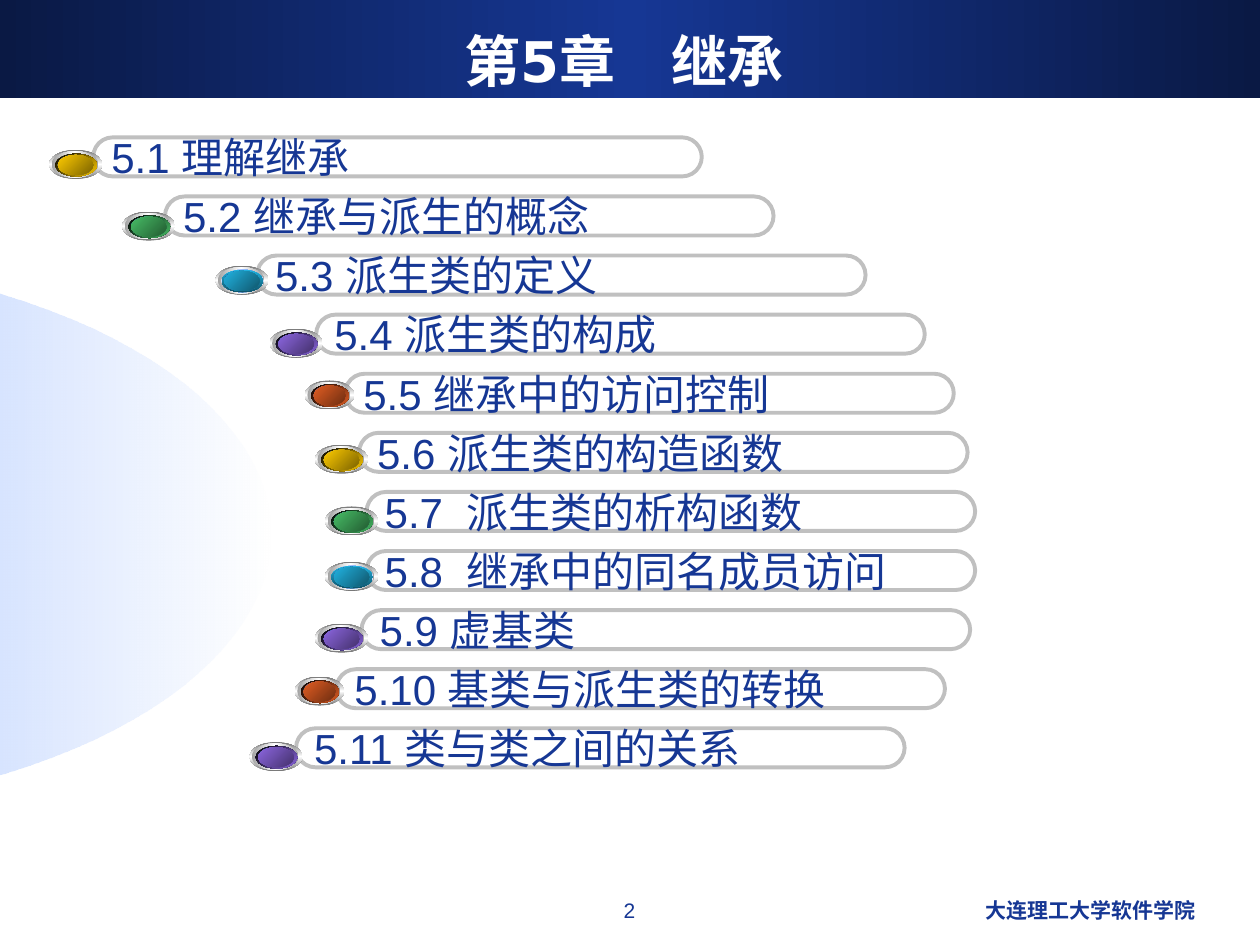
from math import cos, pi, sin

from lxml import etree
from pptx import Presentation
from pptx.dml.color import RGBColor
from pptx.enum import shapes, text
from pptx.oxml.ns import qn
from pptx.util import Inches, Pt

HEX = {
    "navy": "0A1944", "blue": "163794", "sky": "6699FF", "steel": "37538A",
    "white": "FFFFFF", "black": "000000", "line": "C0C0C0",
    "gray": "767676", "silver": "A2A2A2",
}
TITLE = "第5章　继承"
SCHOOL = "大连理工大学软件学院"
PAGE = "2"

# Orb: rim start, rim end, rim angle, face start, face end, width
ORBS = {
    "gold": ("000000", "FFCC00", 45, "FFCC00", "7C6300", 0.42),
    "green": ("000000", "48BE67", 45, "48BE67", "235C32", 0.42),
    "cyan": ("21B3E1", "0F5368", 90, "21B3E1", "10576D", 0.42),
    "violet": ("000000", "8D67E1", 45, "8D67E1", "45326D", 0.42),
    "orange": ("000000", "E35E23", 45, "E35E23", "6E2E11", 0.39),
}
# Section, pill left, orb kind, orb left, orb top
ROWS = [
    ("5.1 理解继承", 0.74, "gold", 0.39, 1.19),
    ("5.2 继承与派生的概念", 1.31, "green", 0.97, 1.68),
    ("5.3 派生类的定义", 2.04, "cyan", 1.71, 2.11),
    ("5.4 派生类的构成", 2.51, "violet", 2.14, 2.61),
    ("5.5 继承中的访问控制", 2.74, "orange", 2.42, 3.02),
    ("5.6 派生类的构造函数", 2.85, "gold", 2.5, 3.53),
    ("5.7  派生类的析构函数", 2.91, "green", 2.58, 4.02),
    ("5.8  继承中的同名成员访问", 2.91, "cyan", 2.58, 4.46),
    ("5.9 虚基类", 2.87, "violet", 2.5, 4.95),
    ("5.10 基类与派生类的转换", 2.67, "orange", 2.34, 5.37),
    ("5.11 类与类之间的关系", 2.35, "violet", 1.98, 5.89),
]
TOP, STEP = 1.09, 0.469
PILL = (4.83, 0.31)

prs = Presentation()
prs.slide_width, prs.slide_height = Inches(10), Inches(7.5)
slide = prs.slides.add_slide(prs.slide_layouts[6])


def rgb(name):
    return RGBColor.from_string(HEX[name])


def shade(shape, colors, angle, alphas=None):
    """Fill with evenly spaced colour stops, angle clockwise in degrees."""
    shape.fill.gradient()
    grad = shape._element.spPr.find(qn("a:gradFill"))
    for part in list(grad):
        grad.remove(part)
    stops = etree.SubElement(grad, qn("a:gsLst"))
    for i, color in enumerate(colors):
        pos = 100000 * i // (len(colors) - 1)
        stop = etree.SubElement(stops, qn("a:gs"), pos=str(pos))
        tint = etree.SubElement(stop, qn("a:srgbClr"), val=HEX.get(color, color))
        if alphas:
            etree.SubElement(tint, qn("a:alpha"), val=str(alphas[i] * 1000))
    etree.SubElement(grad, qn("a:lin"), ang=str(angle * 60000), scaled="0")
    shape.line.fill.background()
    shape.shadow.inherit = False


def add(home, kind, box):
    return home.shapes.add_shape(kind, *map(Inches, box))


def write(shape, words, size, color, align, font="Arial", bold=False,
          wrap=True, anchor=text.MSO_ANCHOR.MIDDLE):
    frame = shape.text_frame
    frame.word_wrap = wrap
    frame.vertical_anchor = anchor
    para = frame.paragraphs[0]
    para.text = words
    para.alignment = align
    face = para.font
    face.name, face.size, face.bold = font, Pt(size), bold
    face.color.rgb = rgb(color)


def label(box, *args, **more):
    write(slide.shapes.add_textbox(*map(Inches, box)), *args, **more)


def dome():
    """Half ellipse that bulges in from the left edge."""
    left, mid, wide, half = -2.15, 4.24, 4.3, 2.2
    turns = [pi * i / 60 - pi / 2 for i in range(61)]
    spots = [(Inches(left + wide * cos(t)), Inches(mid + half * sin(t)))
             for t in turns]
    form = slide.shapes.build_freeform(*spots[0])
    form.add_line_segments(spots[1:], close=True)
    shade(form.convert_to_shape(), ("sky", "white"), 0, (56, 48))


def orb(kind, left, top):
    dark, glow, angle, lit, deep, width = ORBS[kind]
    layers = [
        (0, 0, 0, 0.23, ("gray", "white", "gray"), 90),
        (0.02, 0.01, 0.05, 0.21, ("silver", "white", "silver"), 0),
        (0.05, 0.03, 0.09, 0.18, ("white", "sky", "white"), 45),
        (0.05, 0.03, 0.09, 0.18, (dark, glow), angle),
        (0.07, 0.04, 0.14, 0.16, ("steel", "sky", "steel"), 315),
        (0.07, 0.04, 0.14, 0.16, (lit, deep), 45),
    ]
    group = slide.shapes.add_group_shape()
    for dx, dy, trim, high, colors, turn in layers:
        box = (left + dx, top + dy, width - trim, high)
        shade(add(group, shapes.MSO_SHAPE.OVAL, box), colors, turn)


def pill(words, left, top):
    shape = add(slide, shapes.MSO_SHAPE.ROUNDED_RECTANGLE, (left, top, *PILL))
    shape.adjustments[0] = 0.5
    shape.fill.background()
    shape.line.color.rgb = rgb("line")
    shape.line.width = Pt(2.25)
    shape.shadow.inherit = False
    write(shape, words, 24, "blue", text.PP_ALIGN.LEFT, wrap=False)


band = add(slide, shapes.MSO_SHAPE.RECTANGLE, (0, 0, 10, 0.78))
shade(band, ("navy", "blue", "navy"), 0)
label((0.33, 0.17, 9.25, 0.62), TITLE, 32, "white", text.PP_ALIGN.CENTER,
      font="DejaVu Sans", bold=True)
label((3.83, 7.07, 2.33, 0.35), PAGE, 12, "blue", text.PP_ALIGN.CENTER,
      anchor=text.MSO_ANCHOR.TOP)
label((6.42, 7.07, 3.17, 0.35), SCHOOL, 12, "blue", text.PP_ALIGN.RIGHT,
      bold=True, anchor=text.MSO_ANCHOR.TOP)
dome()
for i, (words, left, kind, x, y) in enumerate(ROWS):
    pill(words, left, TOP + i * STEP)
    orb(kind, x, y)

prs.save("out.pptx")
